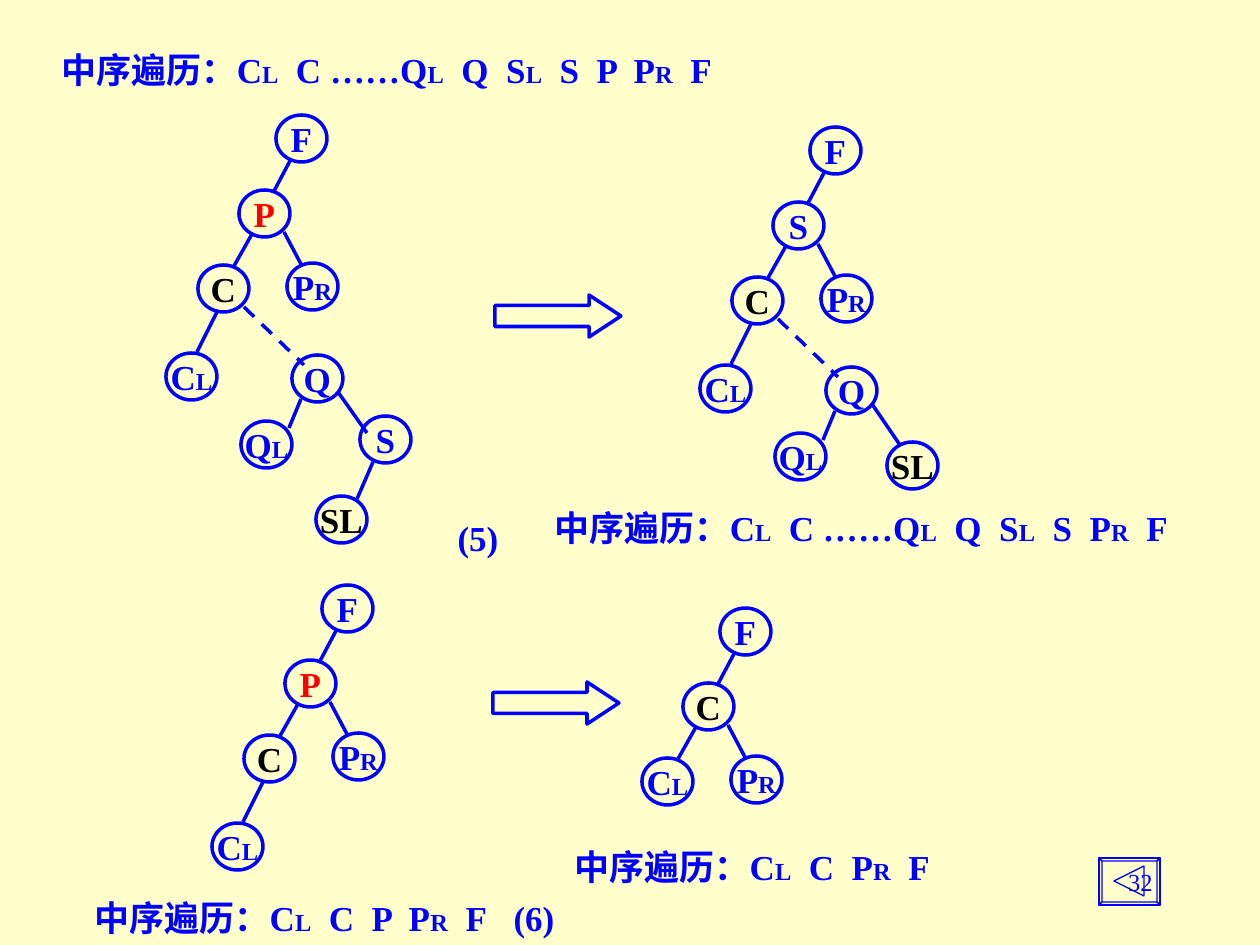
from pptx import Presentation
from pptx.dml.color import RGBColor
from pptx.enum.dml import MSO_LINE as Dash
from pptx.enum.shapes import MSO_CONNECTOR as Link, MSO_SHAPE as Kind
from pptx.enum.text import MSO_ANCHOR as Anchor, MSO_AUTO_SIZE as Fit, PP_ALIGN as Align
from pptx.oxml.ns import qn
from pptx.util import Emu, Pt
from lxml.etree import SubElement

SCALE = 914400 / 126
BLUE, RED, BLACK, CREAM = "0000FF", "FF0000", "000000", "FFFFCC"
FONT = "Times New Roman"
NODE = (51, 47)

SPOTS = {
    "root": (0, 0),
    "mid": (-37, 75),
    "left": (-78, 150),
    "right": (11, 148),
    "low": (-110, 238),
    "tail": (16, 240),
    "tail left": (-35, 306),
    "tail right": (84, 301),
    "tail end": (77, 315),
    "last": (40, 381),
}
EDGES = {
    "mid": (15, 44, -3, 78),
    "left": (-24, 119, -42, 151),
    "right": (8, 117, 26, 151),
    "low": (-58, 195, -79, 237),
    "tail": (-32, 192, 28, 250),
    "tail left": (25, 284, 13, 313),
    "tail right": (62, 277, 91, 318),
    "tail end": (62, 277, 90, 318),
    "last": (97, 347, 81, 384),
}
TINTS = {"C": BLACK, "SL": BLACK}

SMALL = {"root": "F", "mid": "P", "left": "C", "right": "P|R", "low": "C|L"}
TAIL = {"tail": "Q", "tail left": "Q|L"}
TREES = [
    (276, 115, SMALL | TAIL | {"tail right": "S", "last": "SL"}),
    (810, 127, SMALL | TAIL | {"mid": "S", "tail end": "SL"}),
    (322, 585, SMALL),
    (720, 608, {"root": "F", "mid": "C", "left": "C|L", "right": "P|R"}),
]
ORDERS = [
    (49, 42, 685, "中序遍历：C|L|  C ……Q|L|  Q  S|L|  S  P  P|R|  F"),
    (542, 500, 646, "中序遍历：C|L|  C ……Q|L|  Q  S|L|  S  P|R|  F"),
    (82, 890, 428, "中序遍历：C|L|  C  P  P|R|  F"),
    (562, 839, 389, "中序遍历：C|L|  C  P|R|  F"),
]
MARKS = [(445, 510, "(5)"), (501, 890, "(6)")]
ARROWS = [(495, 295), (493, 682)]


def px(*sizes):
    """Turn px lengths into EMU."""
    return [Emu(round(size * SCALE)) for size in sizes]


def tint(code):
    """Give the colour of a hex string."""
    return RGBColor.from_string(code)


def write(frame, text, align, color=BLUE, sizes=(20, 14), bold=True):
    """Write runs parted by bars, in large and small size by turns."""
    par = frame.paragraphs[0]
    par.alignment = align
    for i, part in enumerate(text.split("|")):
        run = par.add_run()
        run.text = part
        font = run.font
        font.name, font.size, font.bold = FONT, Pt(sizes[i % 2]), bold
        font.color.rgb = tint(color)


def outline(shape, width=2):
    """Leave a shape with a blue line only."""
    shape.shadow.inherit = False
    shape.fill.background()
    shape.line.color.rgb = tint(BLUE)
    shape.line.width = Pt(width)


def node(slide, x, y, text, color):
    """Draw one round tree node with its label."""
    oval = slide.shapes.add_shape(Kind.OVAL, *px(x, y, *NODE))
    outline(oval)
    frame = oval.text_frame
    frame.word_wrap = False
    frame.vertical_anchor = Anchor.MIDDLE
    write(frame, text, Align.CENTER, color)


def edge(slide, x, y, ends, dashed):
    """Draw one branch of a tree."""
    x1, y1, x2, y2 = ends
    line = slide.shapes.add_connector(
        Link.STRAIGHT, *px(x + x1, y + y1, x + x2, y + y2))
    line.line.color.rgb = tint(BLUE)
    line.line.width = Pt(2)
    if dashed:
        line.line.dash_style = Dash.DASH
    SubElement(line._element.spPr, qn("a:effectLst"))


def tree(slide, x, y, labels):
    """Draw a tree whose root box starts at x, y."""
    for spot, text in labels.items():
        dx, dy = SPOTS[spot]
        color = RED if (spot, text) == ("mid", "P") else TINTS.get(text, BLUE)
        node(slide, x + dx, y + dy, text, color)
    for spot in labels:
        if spot in EDGES:
            edge(slide, x, y, EDGES[spot], spot == "tail")


def arrow(slide, x, y):
    """Draw a hollow arrow between two trees."""
    shape = slide.shapes.add_shape(Kind.RIGHT_ARROW, *px(x, y, 126, 42))
    shape.adjustments[0], shape.adjustments[1] = 0.5, 0.76
    outline(shape)


def label(slide, x, y, wide, text, align=Align.LEFT):
    """Place one line of bold text."""
    frame = slide.shapes.add_textbox(*px(x, y, wide, 55)).text_frame
    frame.word_wrap = False
    frame.auto_size = Fit.SHAPE_TO_FIT_TEXT
    frame.vertical_anchor = Anchor.MIDDLE
    write(frame, text, align)


def button(slide, x, y, wide, high):
    """Draw the bevelled back button."""
    def ring(gap):
        a, b, c, d = x + gap, y + gap, x + wide - gap, y + high - gap
        return [(a, b), (c, b), (c, d), (a, d)]

    outer, inner = ring(0), ring(3)
    mid = y + high // 2
    parts = [outer]
    for i in range(4):
        j = (i + 1) % 4
        parts.append([outer[i], outer[j], inner[j], inner[i]])
    parts.append([(x + 15, mid), (x + 45, mid - 15), (x + 45, mid + 15)])
    pen = slide.shapes.build_freeform(*outer[0], scale=SCALE)
    for i, part in enumerate(parts):
        if i:
            pen.move_to(*part[0])
        pen.add_line_segments(part[1:], close=True)
    outline(pen.convert_to_shape(), 0.75)


def number(slide, x, y, wide, high):
    """Place the page number."""
    frame = slide.shapes.add_textbox(*px(x, y, wide, high)).text_frame
    frame.word_wrap = True
    write(frame, "32", Align.RIGHT, sizes=(14, 14), bold=False)


def main():
    """Build and save the slide."""
    deck = Presentation()
    deck.slide_width, deck.slide_height = px(1260, 945)
    slide = deck.slides.add_slide(deck.slide_layouts[6])
    slide.background.fill.solid()
    slide.background.fill.fore_color.rgb = tint(CREAM)
    for spot in ARROWS:
        arrow(slide, *spot)
    for item in TREES:
        tree(slide, *item)
    for item in ORDERS:
        label(slide, *item)
    for x, y, text in MARKS:
        label(slide, x, y, 66, text, Align.CENTER)
    button(slide, 1099, 858, 61, 47)
    number(slide, 903, 861, 262, 63)
    deck.save("out.pptx")


if __name__ == "__main__":
    main()
